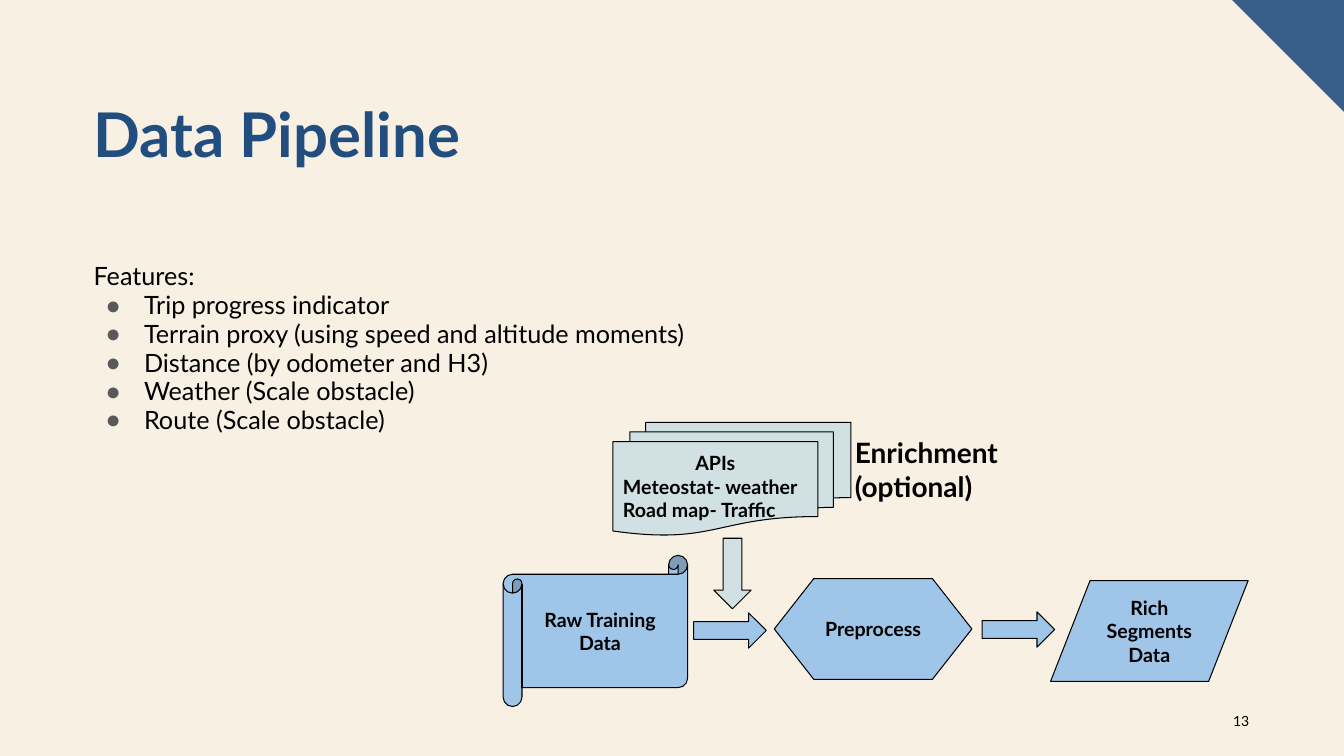
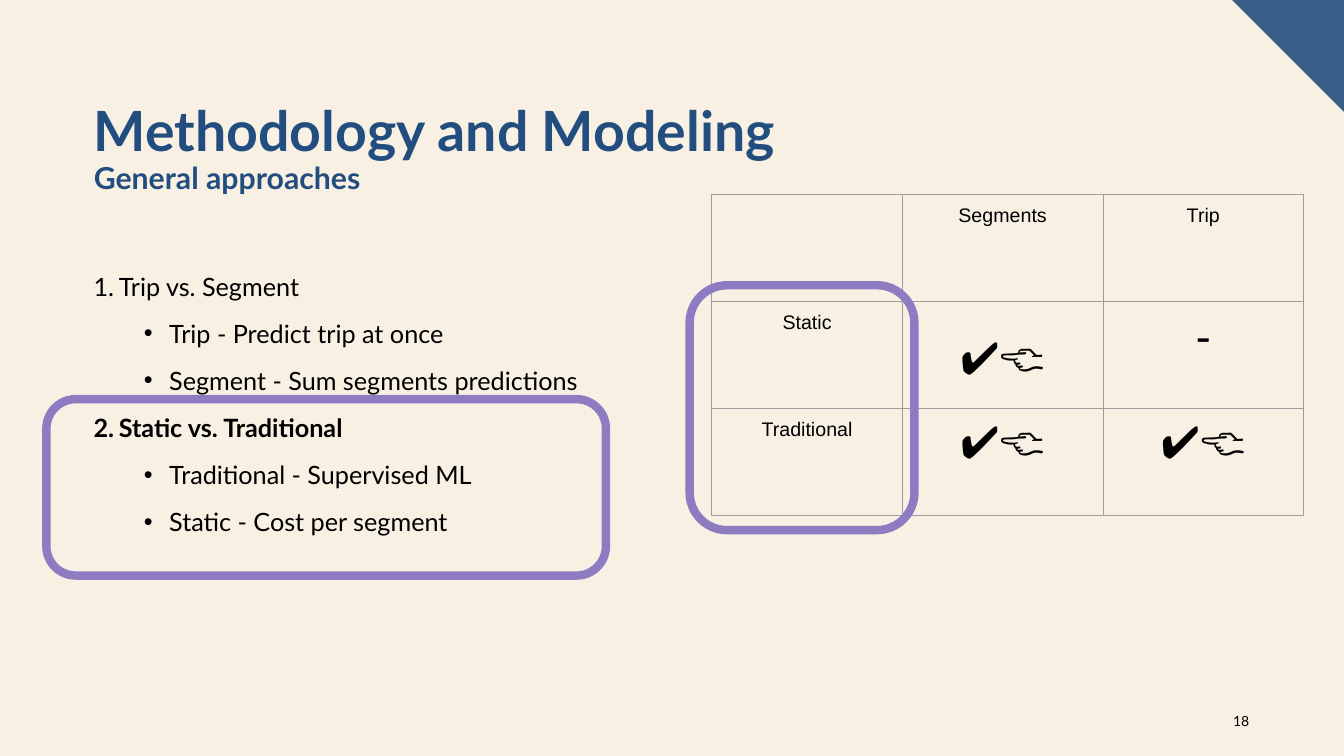
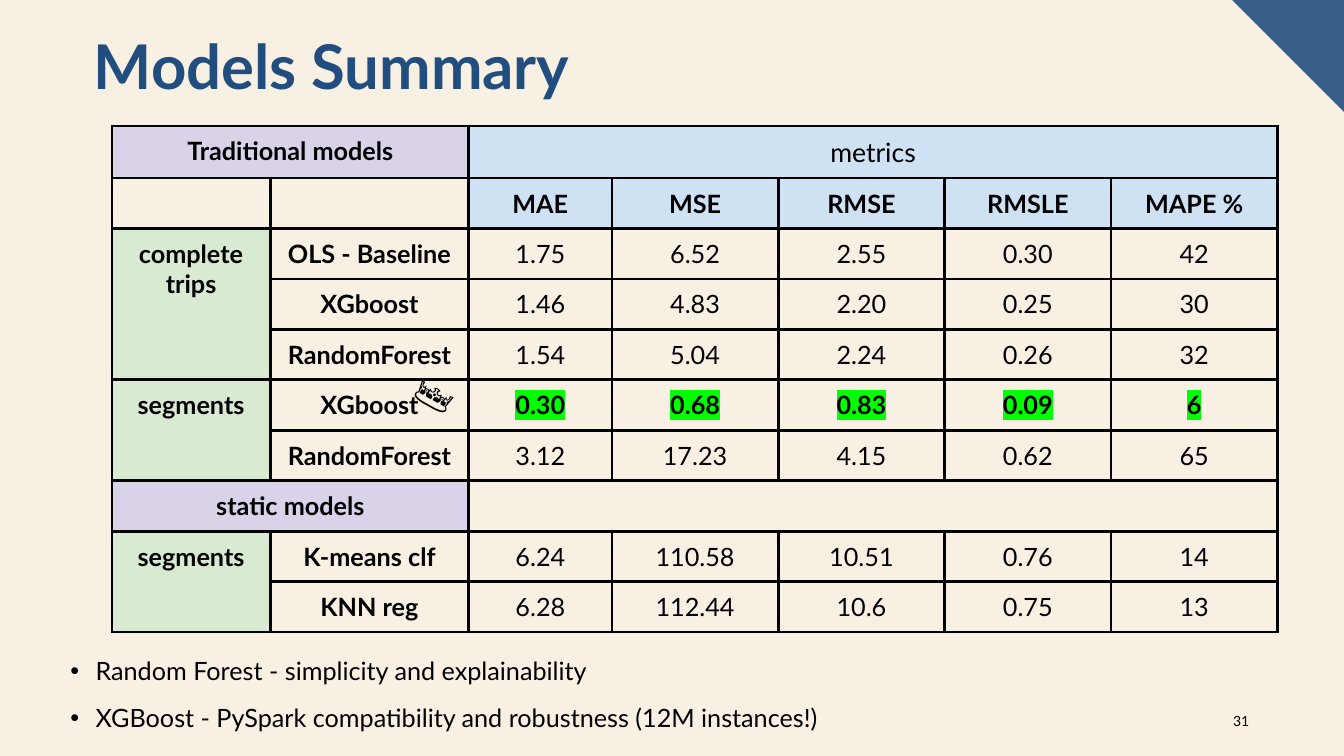
from lxml import etree
from pptx import Presentation
from pptx import util as u
from pptx.dml.color import RGBColor
from pptx.enum import shapes, text
from pptx.oxml import ns

SCALE = 9144  # EMU in one px, 100 px to the inch
FONT = "Lato"
COLORS = {
    "paper": "F8F0E3", "corner": "385E88", "title": "224E7F", "ink": "000000",
    "gray": "595959", "grid": "9E9E9E", "blue": "9FC5E8", "teal": "D0E0E3",
    "violet": "8E7CC3", "lilac": "D9D2E9", "sky": "CFE2F3", "mint": "D9EAD3",
    "lime": "00FF00",
}
SHAPE = shapes.MSO_SHAPE
ALIGN = text.PP_ALIGN
ANCHOR = text.MSO_ANCHOR
LABEL = {"size": 14, "bold": True, "align": ALIGN.CENTER}


def px(*values):
    return [u.Emu(value * SCALE) for value in values]


def rgb(name):
    return RGBColor.from_string(COLORS[name])


def child(parent, tag, **attributes):
    return etree.SubElement(parent, ns.qn(tag), attributes)


# Text
def add_bullet(para, mark, color, left, hang):
    properties = para._p.get_or_add_pPr()
    properties.set("marL", str(left * SCALE))
    properties.set("indent", str(-hang * SCALE))
    child(child(properties, "a:buClr"), "a:srgbClr", val=COLORS[color])
    if mark == "1.":
        child(properties, "a:buFont", typeface=FONT)
        child(properties, "a:buAutoNum", type="arabicPeriod")
    else:
        child(properties, "a:buFont", typeface="Arial")
        child(properties, "a:buChar", char=mark)


def add_highlight(span, color):
    mark = etree.Element(ns.qn("a:highlight"))
    child(mark, "a:srgbClr", val=COLORS[color])
    span.font._element.find(ns.qn("a:latin")).addprevious(mark)


def write(frame, lines, margins=(10, 10), anchor=ANCHOR.TOP, **common):
    """Fill a frame with lines, each a string or a (string, format) pair."""
    side, top = margins
    values = dict(zip(("margin_left", "margin_right", "margin_top", "margin_bottom"),
                      px(side, side, top, top)))
    values.update(word_wrap=True, auto_size=text.MSO_AUTO_SIZE.NONE,
                  vertical_anchor=anchor)
    for name, value in values.items():
        setattr(frame, name, value)
    for index, line in enumerate(lines):
        words, own = (line, {}) if isinstance(line, str) else line
        style = {**common, **own}
        para = frame.paragraphs[0] if index == 0 else frame.add_paragraph()
        if "bullet" in style:
            add_bullet(para, *style["bullet"])
        layout = {"alignment": style.get("align", ALIGN.LEFT),
                  "level": style.get("level", 0),
                  "line_spacing": style.get("spacing", 1.0),
                  "space_before": u.Pt(style.get("before", 0) if index else 0)}
        for name, value in layout.items():
            setattr(para, name, value)
        span = para.add_run()
        span.text = words
        font = {"size": u.Pt(style.get("size", 18)), "bold": style.get("bold", False),
                "name": style.get("font", FONT)}
        for name, value in font.items():
            setattr(span.font, name, value)
        span.font.color.rgb = rgb(style.get("color", "ink"))
        if "highlight" in style:
            add_highlight(span, style["highlight"])


def add_text(page, place, lines, **style):
    box = page.shapes.add_textbox(*px(*place))
    write(box.text_frame, lines, **style)
    return box


# Shapes
def add_shape(page, kind, place, fill=None, line="ink", width=0.75, lines=(), **style):
    shape = page.shapes.add_shape(kind, *px(*place))
    shape.shadow.inherit = False
    if fill:
        shape.fill.solid()
        shape.fill.fore_color.rgb = rgb(fill)
    else:
        shape.fill.background()
    if line:
        shape.line.color.rgb = rgb(line)
        shape.line.width = u.Pt(width)
    else:
        shape.line.fill.background()
    if lines:
        write(shape.text_frame, lines, anchor=ANCHOR.MIDDLE, **style)
    return shape


# Tables
def format_cell(cell, border, width):
    properties = cell._tc.get_or_add_tcPr()
    for side in ("a:lnL", "a:lnR", "a:lnT", "a:lnB"):
        edge = child(properties, side, w=str(u.Pt(width)))
        child(child(edge, "a:solidFill"), "a:srgbClr", val=COLORS[border])
    cell.fill.background()


def add_grid(page, left, top, columns, rows, border, width):
    place = px(left, top, sum(columns), sum(rows))
    table = page.shapes.add_table(len(rows), len(columns), *place).table
    table.first_row = table.horz_banding = False
    for column, size in zip(table.columns, px(*columns)):
        column.width = size
    for row, size in zip(table.rows, px(*rows)):
        row.height = size
    for cell in table.iter_cells():
        format_cell(cell, border, width)
    return table


def write_cell(cell, words, **style):
    write(cell.text_frame, [words], align=ALIGN.CENTER, **style)
    for side in ("left", "right", "top", "bottom"):
        setattr(cell, f"margin_{side}", px(10)[0])


# What all pages share
def add_page(deck, number, title_lines, title_top=98):
    page = deck.slides.add_slide(deck.slide_layouts[5])
    corner = add_shape(page, SHAPE.RIGHT_TRIANGLE, (1222, 0, 111, 111), "corner", None)
    corner.rotation = 180
    title = page.shapes.title
    title.left, title.top, title.width, title.height = px(83, title_top, 1167, 145)
    write(title.text_frame, title_lines, margins=(10, 5), size=44, bold=True,
          color="title", spacing=0.9)
    add_text(page, (1199, 695, 50, 40), [str(number)], margins=(10, 5),
             anchor=ANCHOR.MIDDLE, size=10, align=ALIGN.RIGHT)
    return page


def pipeline_page(deck):
    page = add_page(deck, 13, ["Data Pipeline"])
    item = {"bullet": ("●", "gray", 50, 38)}
    features = ["Trip progress indicator", "Terrain proxy (using speed and altitude moments)",
                "Distance (by odometer and H3)", "Weather (Scale obstacle)",
                "Route (Scale obstacle)"]
    add_text(page, (83, 256, 1231, 392),
             ["Features:"] + [(feature, item) for feature in features],
             margins=(10, 5), spacing=0.95)

    # Flow of the data
    steps = [
        (SHAPE.HORIZONTAL_SCROLL, (499, 551, 183, 150), ["Raw Training Data"]),
        (SHAPE.FLOWCHART_PREPARATION, (768, 574, 196, 100), ["Preprocess"]),
        (SHAPE.FLOWCHART_DATA, (1042, 576, 196, 100), ["Rich", "Segments", "Data"]),
        (SHAPE.RIGHT_ARROW, (688, 608, 72, 35), ()),
        (SHAPE.RIGHT_ARROW, (974, 607, 72, 35), ()),
    ]
    for kind, place, lines in steps:
        add_shape(page, kind, place, "blue", lines=lines, **LABEL)

    # Optional enrichment
    add_shape(page, SHAPE.DOWN_ARROW, (708, 534, 37, 70), "teal")
    add_text(page, (838, 422, 394, 88), ["Enrichment", "(optional)"], size=20, bold=True)
    left = {"align": ALIGN.LEFT}
    add_shape(page, SHAPE.FLOWCHART_MULTIDOCUMENT, (608, 419, 236, 112), "teal",
              lines=["APIs", ("Meteostat- weather", left), ("Road map- Traffic", left)],
              **LABEL)


def methodology_page(deck):
    page = add_page(deck, 18, [("Methodology and Modeling", {"size": 39.6}),
                               ("General approaches", {"size": 21.6})])
    head = {"bullet": ("1.", "ink", 25, 25)}
    item = {"bullet": ("•", "ink", 75, 25), "level": 1}
    add_text(page, (83, 264, 647, 409), [
        ("Trip vs. Segment", head),
        ("Trip - Predict trip at once", item),
        ("Segment - Sum segments predictions", item),
        ("Static vs. Traditional", {**head, "bold": True}),
        ("Traditional - Supervised ML", item),
        ("Static - Cost per segment", item),
    ], margins=(10, 5), before=12)

    # Approaches by prediction unit
    table = add_grid(page, 706, 193, [189, 199, 199], [106] * 3, "grid", 0.75)
    rows = [["", "Segments", "Trip"],
            ["Static", "✔👈", "-"],
            ["Traditional", "✔👈", "✔👈"]]
    for r, row in enumerate(rows):
        for c, words in enumerate(row):
            if words:
                size = 32 if r and c else 14
                write_cell(table.cell(r, c), words, size=size, font="Arial")
    table.cell(1, 1).margin_top = px(32)[0]

    # Frames around the static and traditional pair
    for place in ((684, 283, 223, 243), (46, 396, 555, 175)):
        add_shape(page, SHAPE.ROUNDED_RECTANGLE, place, line="violet", width=6)


def summary_page(deck):
    page = add_page(deck, 31, ["Models Summary"], title_top=31)
    rows = [
        ["Traditional models", "", "metrics"],
        ["", "", "MAE", "MSE", "RMSE", "RMSLE", "MAPE %"],
        ["complete trips", "OLS - Baseline", "1.75", "6.52", "2.55", "0.30", "42"],
        ["", "XGboost", "1.46", "4.83", "2.20", "0.25", "30"],
        ["", "RandomForest", "1.54", "5.04", "2.24", "0.26", "32"],
        ["segments", "XGboost", "0.30", "0.68", "0.83", "0.09", "6"],
        ["", "RandomForest", "3.12", "17.23", "4.15", "0.62", "65"],
        ["static models"],
        ["segments", "K-means clf", "6.24", "110.58", "10.51", "0.76", "14"],
        ["", "KNN reg", "6.28", "112.44", "10.6", "0.75", "13"],
    ]
    best = 5
    table = add_grid(page, 111, 125, [157, 197, 142] + [165] * 4, [44] * len(rows),
                     "ink", 2.25)

    # Merged cells: first row, first column, last row, last column, fill
    merges = [(0, 0, 0, 1, "lilac"), (0, 2, 0, 6, "sky"), (2, 0, 4, 0, "mint"),
              (5, 0, 6, 0, "mint"), (7, 0, 7, 1, "lilac"), (7, 2, 7, 6, None),
              (8, 0, 9, 0, "mint")]
    fills = {(1, c): "sky" for c in range(2, 7)}
    for top, left, bottom, right, fill in merges:
        table.cell(top, left).merge(table.cell(bottom, right))
        if fill:
            fills[top, left] = fill
    for (r, c), fill in fills.items():
        table.cell(r, c).fill.solid()
        table.cell(r, c).fill.fore_color.rgb = rgb(fill)

    for r, row in enumerate(rows):
        for c, words in enumerate(row):
            if not words:
                continue
            style = {"bold": (c < 2 or r in (1, best)),
                     "size": 19 if (r, c) == (0, 2) else 18}
            if r == best and c > 1:
                style["highlight"] = "lime"
            write_cell(table.cell(r, c), words, **style)

    crown = add_text(page, (402, 359, 63, 67), ["👑"], size=28)
    crown.rotation = 29.1
    add_text(page, (60, 636, 1214, 102), [
        ("Random Forest - simplicity and explainability", {"spacing": 1.15}),
        ("XGBoost - PySpark compatibility and robustness (12M instances!)", {"before": 12}),
    ], bullet=("•", "ink", 25, 25))


def main():
    deck = Presentation()
    deck.slide_width, deck.slide_height = px(1333, 750)
    backdrop = deck.slide_master.background.fill
    backdrop.solid()
    backdrop.fore_color.rgb = rgb("paper")
    pipeline_page(deck)
    methodology_page(deck)
    summary_page(deck)
    deck.save("out.pptx")


if __name__ == "__main__":
    main()
